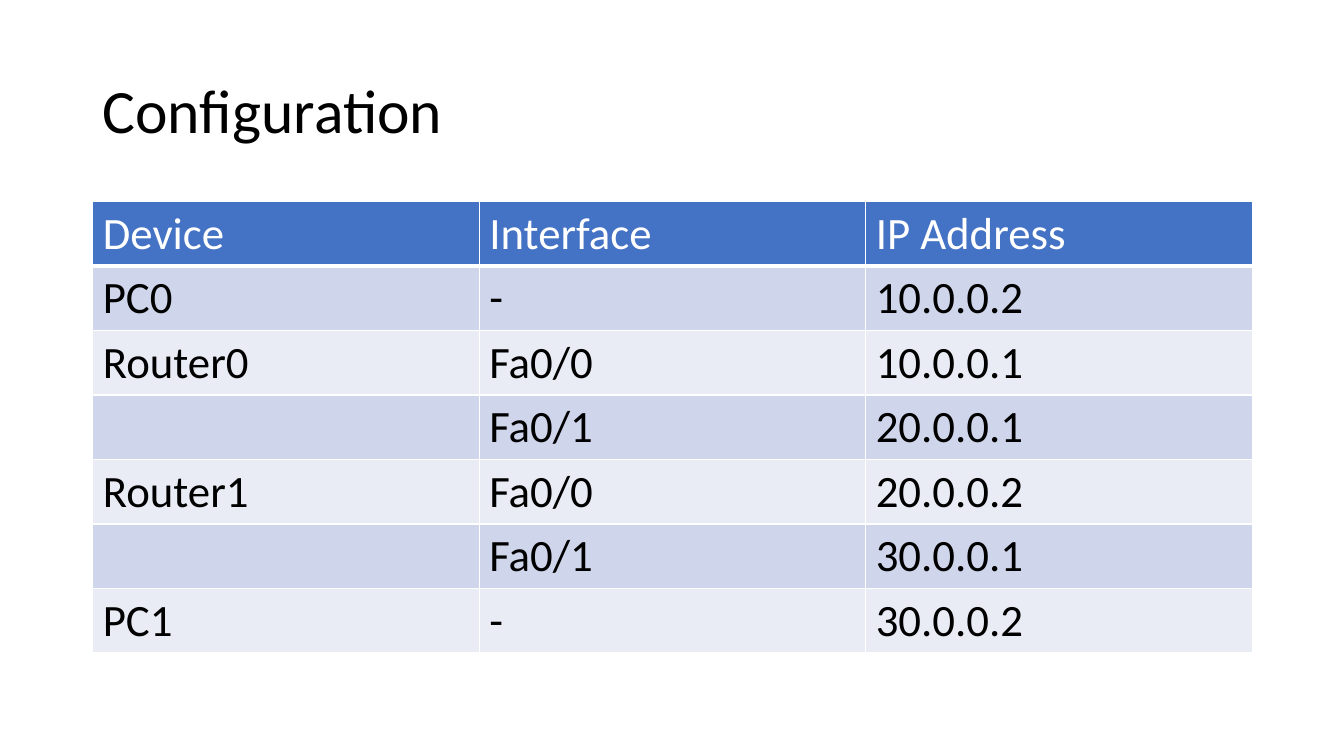
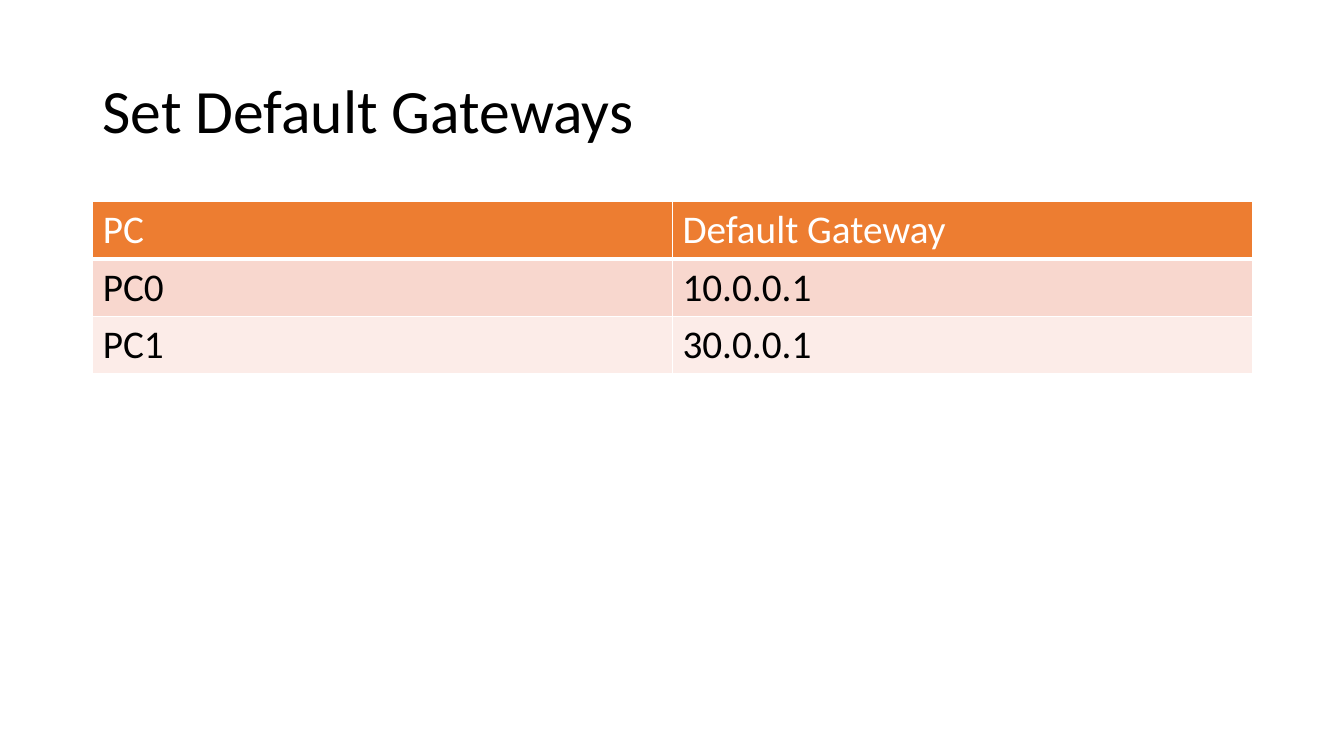
import pptx
import pptx.util
import pptx.dml.color
import pptx.enum.text
import pptx.oxml.ns
import lxml.etree

Inches = pptx.util.Inches
RGBColor = pptx.dml.color.RGBColor

# Shared style
FONT = "Calibri"
BLACK = RGBColor(0x00, 0x00, 0x00)
WHITE = RGBColor(0xFF, 0xFF, 0xFF)
BLUE = RGBColor(0x44, 0x72, 0xC4)
BLUE_BANDS = (RGBColor(0xCF, 0xD5, 0xEA), RGBColor(0xE9, 0xEB, 0xF5))
ORANGE = RGBColor(0xED, 0x7D, 0x31)
ORANGE_BANDS = (RGBColor(0xF8, 0xD7, 0xCE), RGBColor(0xFC, 0xEC, 0xE8))
LEFT, WIDTH = Inches(0.92), Inches(11.5)
TITLE_TOP, TITLE_HEIGHT = Inches(0.4), Inches(1.45)
TABLE_TOP = Inches(2)

# Content
SLIDES = [
    {
        "title": "Configuration",
        "rows": [
            ("Device", "Interface", "IP Address"),
            ("PC0", "-", "10.0.0.2"),
            ("Router0", "Fa0/0", "10.0.0.1"),
            ("", "Fa0/1", "20.0.0.1"),
            ("Router1", "Fa0/0", "20.0.0.2"),
            ("", "Fa0/1", "30.0.0.1"),
            ("PC1", "-", "30.0.0.2"),
        ],
        "size": 32, "row_height": Inches(0.64),
        "header": BLUE, "bands": BLUE_BANDS,
    },
    {
        "title": "Set Default Gateways",
        "rows": [
            ("PC", "Default Gateway"),
            ("PC0", "10.0.0.1"),
            ("PC1", "30.0.0.1"),
        ],
        "size": 28, "row_height": Inches(0.57),
        "header": ORANGE, "bands": ORANGE_BANDS,
    },
]


def write(frame, text, size, color=BLACK, line_spacing=None):
    paragraph = frame.paragraphs[0]
    paragraph.line_spacing = line_spacing
    paragraph.text = text
    # Paragraph-level font covers empty cells, run fonts cover the words
    for font in [paragraph.font] + [run.font for run in paragraph.runs]:
        font.name, font.size, font.bold = FONT, pptx.util.Pt(size), False
        font.color.rgb = color


def add_borders(cell, bottom=1):
    qn = pptx.oxml.ns.qn
    properties = cell._tc.get_or_add_tcPr()
    for side, width in (("L", 1), ("R", 1), ("T", 1), ("B", bottom)):
        line = lxml.etree.SubElement(properties, qn(f"a:ln{side}"), w=str(pptx.util.Pt(width)))
        fill = lxml.etree.SubElement(line, qn("a:solidFill"))
        lxml.etree.SubElement(fill, qn("a:srgbClr"), val=str(WHITE))


def add_title(slide, text):
    frame = slide.shapes.add_textbox(LEFT, TITLE_TOP, WIDTH, TITLE_HEIGHT).text_frame
    frame.word_wrap = True
    frame.vertical_anchor = pptx.enum.text.MSO_ANCHOR.MIDDLE
    write(frame, text, 44, line_spacing=0.9)


def add_address_table(slide, rows, size, row_height, header, bands):
    table = slide.shapes.add_table(len(rows), len(rows[0]), LEFT, TABLE_TOP,
                                   WIDTH, row_height * len(rows)).table
    for r, row in enumerate(rows):
        is_header = r == 0
        for c, text in enumerate(row):
            cell = table.cell(r, c)
            add_borders(cell, bottom=3 if is_header else 1)
            cell.fill.solid()
            cell.fill.fore_color.rgb = header if is_header else bands[(r - 1) % 2]
            write(cell.text_frame, text, size, WHITE if is_header else BLACK)


def main():
    deck = pptx.Presentation()
    deck.slide_width, deck.slide_height = Inches(13.33), Inches(7.5)
    for content in SLIDES:
        slide = deck.slides.add_slide(deck.slide_layouts[6])
        add_title(slide, content["title"])
        add_address_table(slide, content["rows"], content["size"], content["row_height"],
                          content["header"], content["bands"])
    deck.save("out.pptx")


if __name__ == "__main__":
    main()
